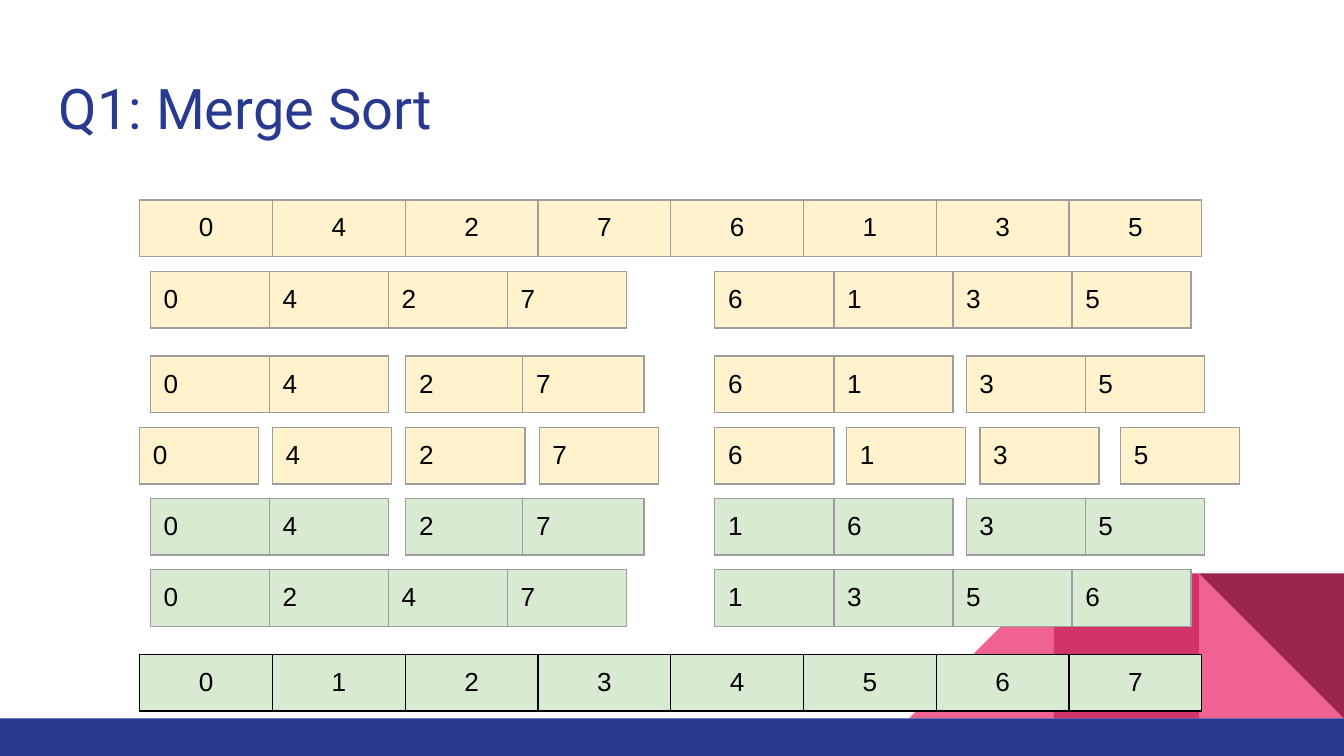
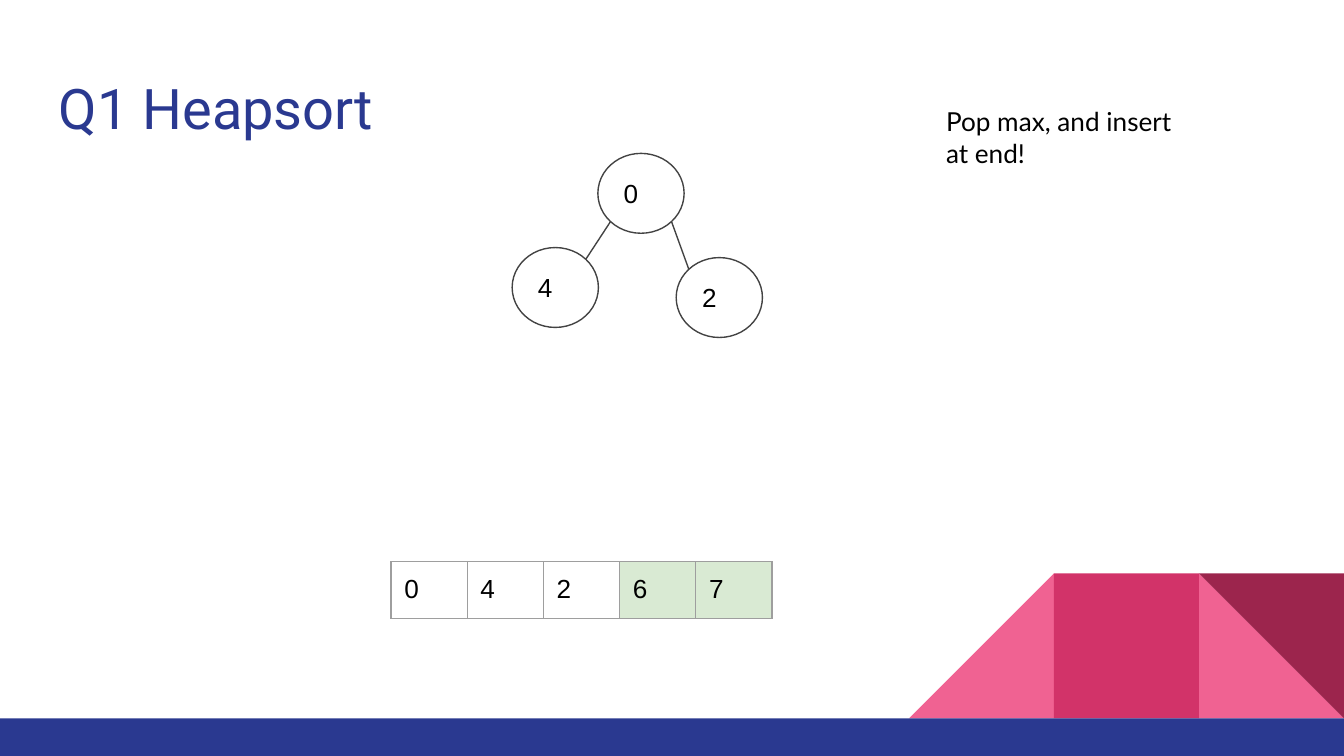
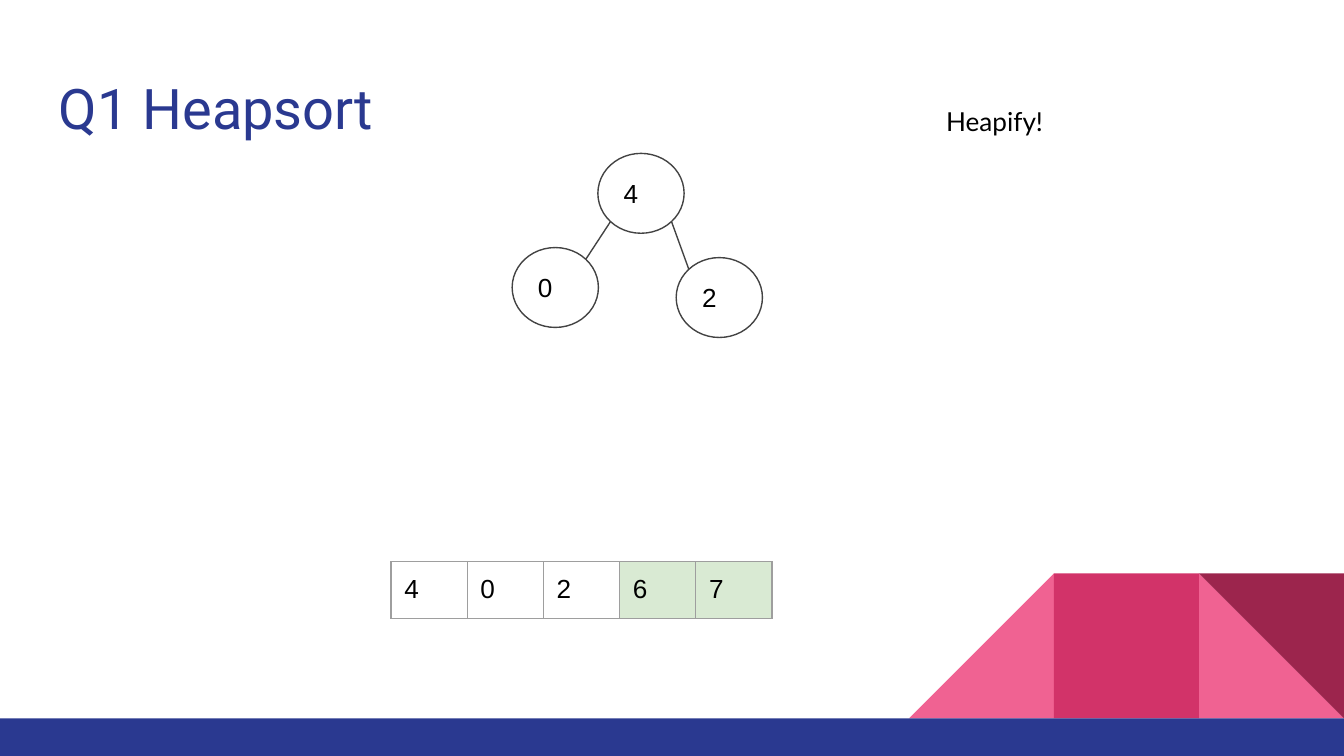
import math

import pptx
import pptx.dml.color
import pptx.enum.shapes
import pptx.enum.text
import pptx.oxml
import pptx.oxml.ns
import pptx.util

Cm, Pt = pptx.util.Cm, pptx.util.Pt
SHAPES = pptx.enum.shapes.MSO_SHAPE
ALIGN = pptx.enum.text.PP_ALIGN
ANCHOR = pptx.enum.text.MSO_ANCHOR

COLORS = {
    "title": "2A3990", "band": "2A3990", "light": "F06292", "middle": "D23369",
    "dark": "9C254D", "text": "000000", "split": "FFF2CC", "sorted": "D9EAD3",
    "grid": "9E9E9E", "final": "000000", "node": "434343",
}
FORMATS = {
    "title": {"size": Pt(30), "name": "Roboto"},
    "number": {"size": Pt(14), "name": "Arial"},
    "note": {"size": Pt(14), "name": "Lato"},
}
WIDTH, HEIGHT = 25.4, 14.29
INSET = 0.25
ROW_HEIGHT = 1.07
LINE_WIDTH = Pt(0.75)

# Merge sort: (top, fill, [(left, column widths, values), ...])
WIDE, NARROW = 2.51, 2.25
UNEVEN = [2.21, 2.29]
PAIR_LEFTS = (2.84, 7.67, 13.51, 18.26)
HALF_LEFTS = (2.84, 13.51)
SINGLE_LEFTS = (2.64, 5.15, 7.67, 10.19, 13.51, 16.0, 18.52, 21.18)
MERGE_STEPS = [
    (5.13, "split", HALF_LEFTS, ["0427", "6135"]),
    (6.73, "split", PAIR_LEFTS, ["04", "27", "61", "35"]),
    (8.08, "split", SINGLE_LEFTS, "04276135"),
    (9.42, "sorted", PAIR_LEFTS, ["04", "27", "16", "35"]),
    (10.77, "sorted", HALF_LEFTS, ["0247", "1356"]),
]
FULL_ROWS = [(3.78, "split", "grid", "04276135"), (12.37, "sorted", "final", "01234567")]
FULL_LEFT = 2.64

# Heapsort: the heap fills the first cells, the sorted tail the rest
HEAP_STEPS = [
    {"heap": "042", "tail": "67", "note": "Pop max, and insert at end!"},
    {"heap": "402", "tail": "67", "note": "Heapify!"},
]
ARRAY_LEFT, ARRAY_TOP, ARRAY_COLUMN = 7.39, 10.62, 1.44
NODE_SIZE = (1.63, 1.51)
NODE_PLACES = [(11.3, 2.9), (9.68, 4.68), (12.78, 4.87)]
NOTE_PLACE = (17.63, 1.75, 4.93, 1.09)


def rgb(name):
    return pptx.dml.color.RGBColor.from_string(COLORS[name])


def write(frame, text, style, color="text", align=ALIGN.LEFT):
    para = frame.paragraphs[0]
    para.alignment = align
    span = para.add_run()
    span.text = text
    for key, value in FORMATS[style].items():
        setattr(span.font, key, value)
    span.font.color.rgb = rgb(color)


def set_frame(frame, anchor):
    settings = {"word_wrap": True, "vertical_anchor": anchor,
                "auto_size": pptx.enum.text.MSO_AUTO_SIZE.NONE}
    for side in ("left", "right", "top", "bottom"):
        settings["margin_" + side] = Cm(INSET)
    for key, value in settings.items():
        setattr(frame, key, value)


def add_block(page, kind, place, fill):
    block = page.shapes.add_shape(kind, *map(Cm, place))
    block.shadow.inherit = False
    block.fill.solid()
    block.fill.fore_color.rgb = rgb(fill)
    block.line.fill.background()
    return block


def add_page(deck, title_text):
    page = deck.slides.add_slide(deck.slide_layouts[5])
    # Corner triangles and bottom band
    side, band = 2.74, 0.71
    top = HEIGHT - band - side
    lefts = [WIDTH - side * count for count in (3, 2, 1)]
    add_block(page, SHAPES.RIGHT_TRIANGLE, (lefts[2], top, side, side), "light")
    mirrored = add_block(page, SHAPES.RIGHT_TRIANGLE, (lefts[0], top, side, side), "light")
    mirrored.element.spPr.find(pptx.oxml.ns.qn("a:xfrm")).set("flipH", "1")
    add_block(page, SHAPES.RECTANGLE, (lefts[1], top, side, side), "middle")
    add_block(page, SHAPES.RIGHT_TRIANGLE, (lefts[2], top, side, side), "dark").rotation = 180
    add_block(page, SHAPES.RECTANGLE, (0, HEIGHT - band, WIDTH, band), "band")
    # Title
    title = page.shapes.title
    title.left, title.top, title.width, title.height = map(Cm, (0.86, 1.14, 23.67, 1.68))
    set_frame(title.text_frame, ANCHOR.TOP)
    write(title.text_frame, title_text, "title", "title")
    return page


def set_borders(cell, color):
    properties = cell._tc.get_or_add_tcPr()
    for index, side in enumerate(("lnL", "lnR", "lnT", "lnB")):
        properties.insert(index, pptx.oxml.parse_xml(
            f'<a:{side} {pptx.oxml.ns.nsdecls("a")} w="{int(LINE_WIDTH)}"><a:solidFill>'
            f'<a:srgbClr val="{COLORS[color]}"/></a:solidFill></a:{side}>'))


def add_array(page, left, top, widths, values, fills, border="grid", align=ALIGN.LEFT):
    """Draw one array as a one-row table; a fill of None leaves a cell clear."""
    table = page.shapes.add_table(1, len(values), Cm(left), Cm(top),
                                  Cm(sum(widths)), Cm(ROW_HEIGHT)).table
    table.first_row = table.horz_banding = False
    for index, (width, value, fill) in enumerate(zip(widths, values, fills)):
        table.columns[index].width = Cm(width)
        cell = table.cell(0, index)
        for side in ("left", "right", "top", "bottom"):
            setattr(cell, "margin_" + side, Cm(INSET))
        if fill:
            cell.fill.solid()
            cell.fill.fore_color.rgb = rgb(fill)
        else:
            cell.fill.background()
        set_borders(cell, border)
        write(cell.text_frame, value, "number", align=align)


def add_edge(page, parent, child, direction):
    """Join two nodes on their diagonals; direction is -1 for left, 1 for right."""
    reach_x, reach_y = (size / 2 * math.sqrt(0.5) for size in NODE_SIZE)
    ends = []
    for (left, top), sign in ((parent, 1), (child, -1)):
        ends += [left + NODE_SIZE[0] / 2 + sign * direction * reach_x,
                 top + NODE_SIZE[1] / 2 + sign * reach_y]
    edge = page.shapes.add_connector(pptx.enum.shapes.MSO_CONNECTOR.STRAIGHT, *map(Cm, ends))
    edge.line.color.rgb = rgb("node")
    edge.line.width = LINE_WIDTH
    edge.element.spPr.append(pptx.oxml.parse_xml(
        f'<a:effectLst {pptx.oxml.ns.nsdecls("a")}/>'))


def add_heap(page, values):
    for place, value in zip(NODE_PLACES, values):
        node = page.shapes.add_shape(SHAPES.OVAL, *map(Cm, place + NODE_SIZE))
        node.shadow.inherit = False
        node.fill.background()
        node.line.color.rgb = rgb("node")
        node.line.width = LINE_WIDTH
        set_frame(node.text_frame, ANCHOR.MIDDLE)
        write(node.text_frame, value, "number")
    root, *children = NODE_PLACES
    for child, direction in zip(children, (-1, 1)):
        add_edge(page, root, child, direction)


def build_merge_sort(deck):
    page = add_page(deck, "Q1: Merge Sort")
    for top, fill, border, values in FULL_ROWS:
        count = len(values)
        add_array(page, FULL_LEFT, top, [WIDE] * count, values, [fill] * count,
                  border, ALIGN.CENTER)
    for top, fill, lefts, groups in MERGE_STEPS:
        for left, values in zip(lefts, groups):
            count = len(values)
            uneven = count == 2 and left == PAIR_LEFTS[1]
            widths = UNEVEN if uneven else [NARROW] * count
            add_array(page, left, top, widths, values, [fill] * count)


def build_heapsort(deck, step):
    page = add_page(deck, "Q1 Heapsort")
    values = step["heap"] + step["tail"]
    fills = [None] * len(step["heap"]) + ["sorted"] * len(step["tail"])
    add_array(page, ARRAY_LEFT, ARRAY_TOP, [ARRAY_COLUMN] * len(values), values, fills)
    add_heap(page, step["heap"])
    box = page.shapes.add_textbox(*map(Cm, NOTE_PLACE))
    set_frame(box.text_frame, ANCHOR.TOP)
    write(box.text_frame, step["note"], "note")


def main():
    deck = pptx.Presentation()
    deck.slide_width, deck.slide_height = Cm(WIDTH), Cm(HEIGHT)
    build_merge_sort(deck)
    for step in HEAP_STEPS:
        build_heapsort(deck, step)
    deck.save("out.pptx")


if __name__ == "__main__":
    main()
